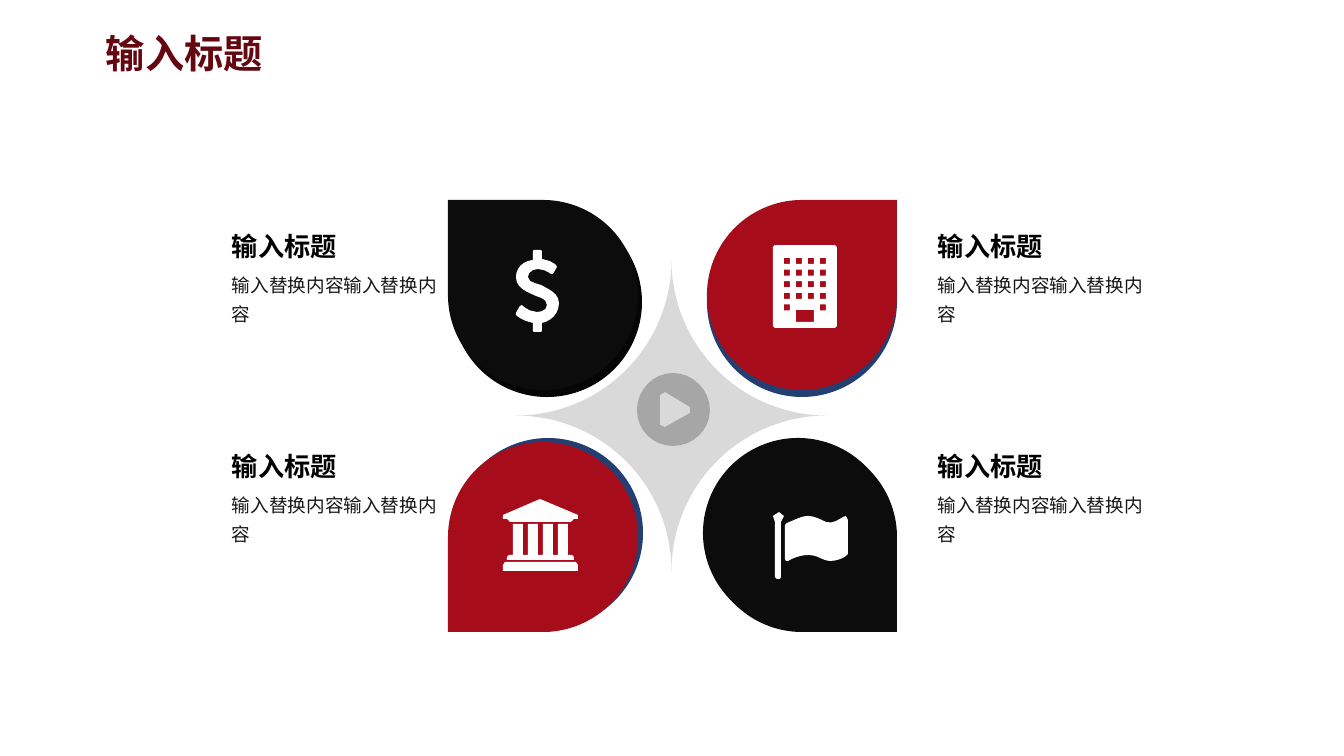
from math import dist

from lxml.etree import SubElement
from pptx import Presentation
from pptx.dml.color import RGBColor
from pptx.enum.shapes import MSO_SHAPE
from pptx.enum.text import MSO_AUTO_SIZE, PP_ALIGN
from pptx.oxml.ns import qn
from pptx.util import Pt

PX = 914400 / 100.8
THEME = {
    "font": "Noto Sans CJK SC",
    "star": "D9D9D9",
    "play": "A6A6A6",
    "icon": "FFFFFF",
    "black": "0C0C0C",
    "black_edge": "060606",
    "red": "A70C1B",
    "blue_edge": "233F71",
    "title": {"color": "640710", "size": 28, "bold": True, "align": PP_ALIGN.JUSTIFY, "spacing": 1.0},
    "heading": {"color": "000000", "size": 18.7, "bold": True, "align": PP_ALIGN.JUSTIFY, "spacing": 1.0},
    "body": {"color": "181717", "size": 13.3, "bold": False, "align": PP_ALIGN.LEFT, "spacing": 1.3},
}


def box(left, top, width, height):
    right, bottom = left + width, top + height
    return [(left, top), (right, top), (right, bottom), (left, bottom)]


def add_outline(contours):
    builder = None
    for start, *segments in contours:
        points = [start]
        for segment in segments:
            if len(segment) == 2:
                points.append(segment)
                continue
            controls = [points[-1], segment[:2], segment[2:4], segment[4:]]
            steps = min(8, max(1, int(dist(controls[0], controls[3]) / 4)))
            for step in range(1, steps + 1):
                t = step / steps
                weights = ((1 - t) ** 3, 3 * t * (1 - t) ** 2, 3 * t * t * (1 - t), t ** 3)
                points.append(tuple(sum(w * c[axis] for w, c in zip(weights, controls)) for axis in (0, 1)))
        points = [(x * PX, y * PX) for x, y in points]
        if builder is None:
            builder = shapes.build_freeform(*points[0], scale=1.0)
        else:
            builder.move_to(*points[0])
        builder.add_line_segments(points[1:], close=True)
    return builder.convert_to_shape()


presentation = Presentation()
presentation.slide_width = round(1344 * PX)
presentation.slide_height = round(756 * PX)
slide = presentation.slides.add_slide(presentation.slide_layouts[6])
shapes = slide.shapes

petals_and_star = [
    (MSO_SHAPE.PLAQUE, 516, 260, 311, 0, "star"),
    (MSO_SHAPE.TEAR, 452, 207, 190, 270, "black_edge"),
    (MSO_SHAPE.TEAR, 448, 200, 190, 270, "black"),
    (MSO_SHAPE.TEAR, 707, 207, 190, 0, "blue_edge"),
    (MSO_SHAPE.TEAR, 707, 200, 190, 0, "red"),
    (MSO_SHAPE.TEAR, 453, 438, 190, 180, "blue_edge"),
    (MSO_SHAPE.TEAR, 448, 442, 190, 180, "red"),
    (MSO_SHAPE.TEAR, 703, 438, 190, 90, "black"),
    (MSO_SHAPE.TEAR, 707, 442, 190, 90, "black"),
]
painted = []
for preset, left, top, side, rotation, color in petals_and_star:
    petal = shapes.add_shape(preset, *(round(v * PX) for v in (left, top, side, side)))
    petal.rotation = rotation
    if preset == MSO_SHAPE.PLAQUE:
        petal.adjustments[0] = 0.5
    painted.append((petal, color))

play = [
    [(673, 373), (693, 373, 710, 390, 710, 410), (710, 430, 693, 446, 673, 446),
     (653, 446, 637, 430, 637, 410), (637, 390, 653, 373, 673, 373)],
    [(665, 392), (690, 407), (693, 409, 693, 411, 690, 413), (665, 427),
     (663, 428, 660, 428, 660, 425), (660, 395), (660, 392, 663, 391, 665, 392)],
]
dollar = [
    [(542, 323), (542, 331), (541, 332), (534, 332), (533, 331), (533, 323),
     (522, 321, 516, 315, 516, 315), (516, 313), (520, 306), (522, 305), (523, 306),
     (523, 306, 529, 312, 537, 312), (542, 312, 547, 310, 547, 305),
     (547, 299, 541, 298, 536, 296), (527, 292, 516, 288, 516, 277),
     (516, 268, 523, 261, 533, 260), (533, 251), (534, 250), (541, 250), (542, 251), (542, 259),
     (551, 260, 556, 265, 556, 265), (557, 267), (553, 274), (551, 274),
     (551, 274, 545, 269, 538, 269), (532, 269, 528, 273, 528, 277),
     (528, 282, 535, 283, 541, 285), (548, 289, 559, 293, 559, 303),
     (559, 314, 551, 321, 542, 323)],
]
temple = [
    [(540, 499), (578, 515), (578, 519), (574, 519), (571, 522), (510, 522), (507, 519), (503, 519), (503, 515)],
    [(503, 571), (503, 565), (505, 562), (576, 562), (578, 565), (578, 571)],
    [(507, 560), (507, 557), (509, 555), (572, 555), (574, 557), (574, 560)],
] + [box(513 + 15 * column, 524, 10, 31) for column in range(4)]
building = [
    [(775, 245), (835, 245), (837, 247), (837, 326), (835, 328), (775, 328), (773, 326), (773, 247)],
    box(796, 310, 18, 12),
] + [
    box(784 + 12 * column, 258 + 11.6 * row, 6, 6)
    for row in range(5)
    for column in range(4)
    if row < 4 or column in (0, 3)
]
flag = [
    [(781, 522), (781, 577), (780, 579), (777, 579), (775, 577), (775, 522),
     (774, 521, 773, 519, 773, 516), (773, 514, 775, 512, 779, 512),
     (782, 512, 784, 514, 784, 516), (784, 519, 783, 521, 781, 522)],
    [(848, 554), (846, 556), (842, 559, 836, 561, 830, 561),
     (823, 561, 818, 555, 809, 555), (802, 555, 795, 557, 788, 561),
     (786, 561), (785, 559), (785, 527), (785, 525), (787, 523),
     (795, 520, 801, 516, 808, 516), (814, 516, 820, 519, 826, 522),
     (835, 525, 842, 516, 846, 516), (848, 520)],
]
for contours, color in [(play, "play"), (dollar, "icon"), (temple, "icon"), (building, "icon"), (flag, "icon")]:
    painted.append((add_outline(contours), color))

for figure, color in painted:
    figure.shadow.inherit = False
    figure.fill.solid()
    figure.fill.fore_color.rgb = RGBColor.from_string(THEME[color])
    figure.line.fill.background()

captions = [(96, 24, 57, "输入标题", "title")]
for top in (225, 445):
    for left in (222, 928):
        captions.append((left, top + 37, 67, "输入替换内容输入替换内容", "body"))
        captions.append((left, top, 42, "输入标题", "heading"))

for left, top, height, wording, role in captions:
    style = THEME[role]
    frame = shapes.add_textbox(*(round(v * PX) for v in (left, top, 226, height))).text_frame
    frame.word_wrap = True
    frame.auto_size = MSO_AUTO_SIZE.SHAPE_TO_FIT_TEXT
    paragraph = frame.paragraphs[0]
    paragraph_format = {"alignment": style["align"], "line_spacing": style["spacing"]}
    for attribute, value in paragraph_format.items():
        setattr(paragraph, attribute, value)
    run = paragraph.add_run()
    run.text = wording
    font_format = {"name": THEME["font"], "size": Pt(style["size"]), "bold": style["bold"]}
    for attribute, value in font_format.items():
        setattr(run.font, attribute, value)
    run.font.color.rgb = RGBColor.from_string(style["color"])
    SubElement(run.font._element, qn("a:ea"), typeface=THEME["font"])

presentation.save("out.pptx")
